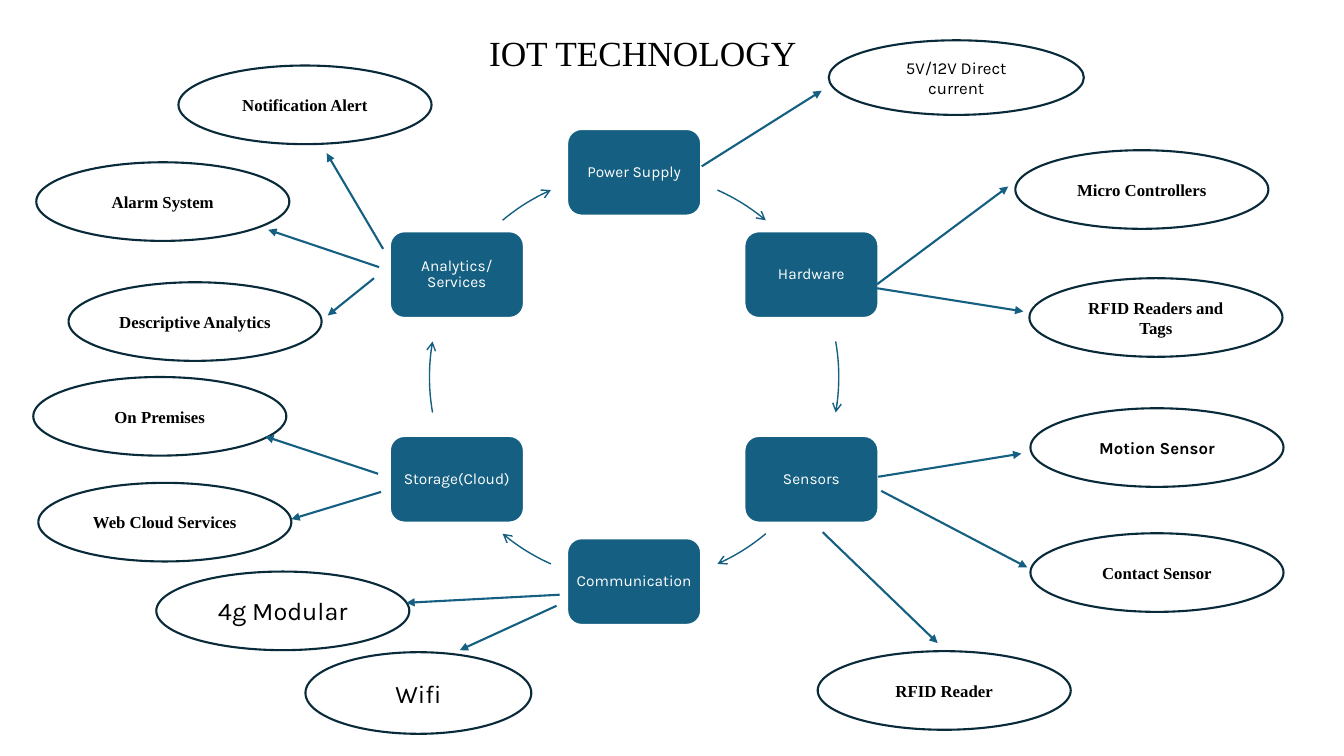
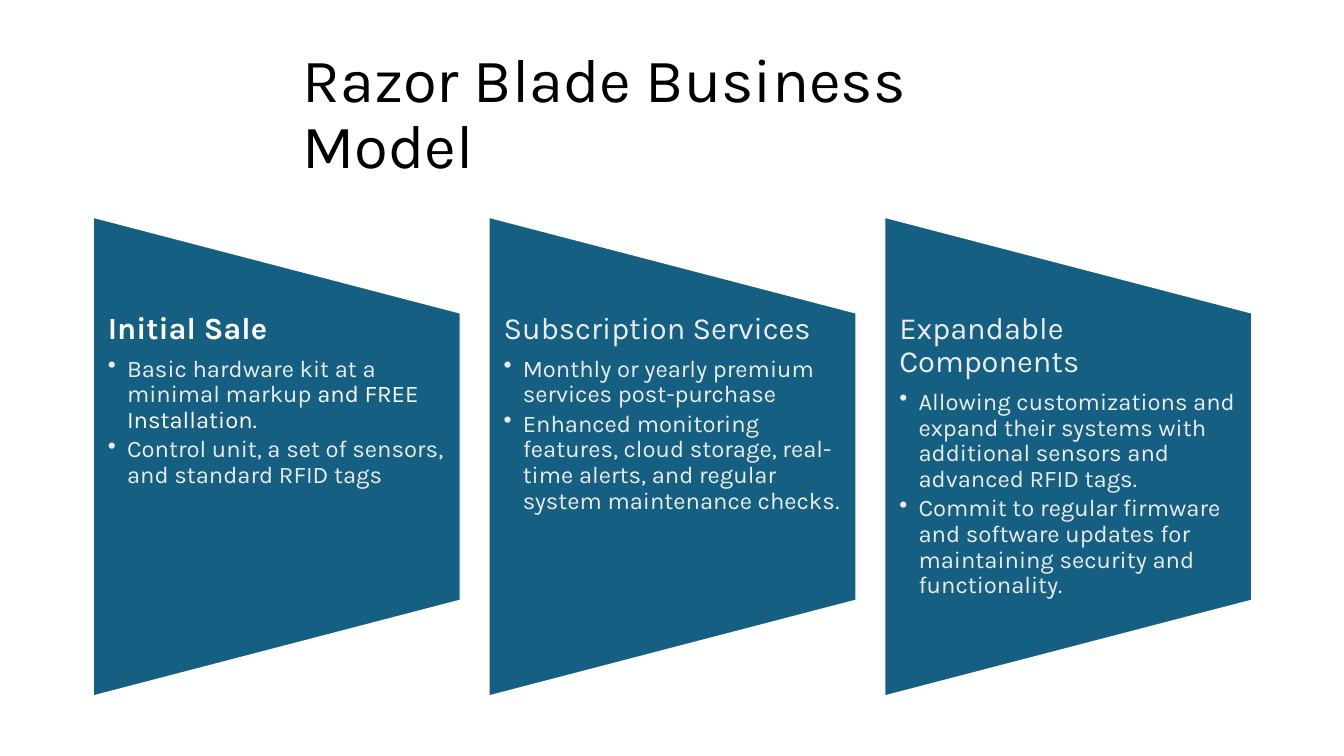
from math import cos, radians, sin

from lxml import etree
from pptx import Presentation
from pptx.dml.color import RGBColor
from pptx.enum.shapes import MSO_CONNECTOR, MSO_SHAPE
from pptx.enum.text import MSO_ANCHOR, MSO_AUTO_SIZE, PP_ALIGN
from pptx.oxml.ns import qn
from pptx.util import Inches, Pt

ROUNDED = MSO_SHAPE.ROUNDED_RECTANGLE
OVAL = MSO_SHAPE.OVAL
PANEL = MSO_SHAPE.FLOWCHART_MANUAL_OPERATION
STRAIGHT = MSO_CONNECTOR.STRAIGHT
CENTER, LEFT = PP_ALIGN.CENTER, PP_ALIGN.LEFT
MIDDLE, TOP = MSO_ANCHOR.MIDDLE, MSO_ANCHOR.TOP

COLORS = {
    "blue": "156082",
    "navy": "092A39",
    "white": "FFFFFF",
    "pale": "ECECEC",
    "black": "000000",
}
SANS, SERIF = "Karla", "Times New Roman"

STAGES = ["Power Supply", "Hardware", "Sensors", "Communication", "Storage(Cloud)", "Analytics/Services"]
RING_CENTER, RING_RADIUS = (6.29, 3.74), 2.03
STAGE_SIZE = (1.33, 0.86)
ARCS = [(24, 40), (80, 100), (140, 156), (204, 220), (260, 280), (320, 336)]
ARC_STEPS = 12

DETAIL_SIZE = (2.51, 0.78)
SERIF_BOLD = (SERIF, 12, True)
SANS_BOLD = (SANS, 12, True)
SANS_SMALL = (SANS, 12, False)
SANS_LARGE = (SANS, 18, False)
DETAILS = [
    ("5V/12V Direct current", (8.22, 0.4), (2.53, 0.74), SANS_SMALL, (6.96, 1.65), (8.15, 0.9)),
    ("Micro Controllers", (10.07, 1.49), DETAIL_SIZE, SERIF_BOLD, (8.7, 2.82), (10, 1.85)),
    ("RFID Readers and Tags", (10.21, 2.76), DETAIL_SIZE, SERIF_BOLD, (8.7, 2.86), (10.15, 3.09)),
    ("Motion Sensor", (10.22, 4.05), DETAIL_SIZE, SANS_BOLD, (8.71, 4.73), (10.13, 4.5)),
    ("Contact Sensor", (10.22, 5.29), DETAIL_SIZE, SERIF_BOLD, (8.74, 4.87), (10.19, 5.63)),
    ("RFID Reader", (8.11, 6.46), DETAIL_SIZE, SERIF_BOLD, (8.16, 5.28), (9.3, 6.38)),
    ("Wifi", (3.03, 6.47), (2.24, 0.81), SANS_LARGE, (5.52, 6.01), (4.56, 6.45)),
    ("4g Modular", (1.55, 5.67), DETAIL_SIZE, SANS_LARGE, (5.55, 5.9), (4.03, 5.98)),
    ("Web Cloud Services", (0.38, 4.79), DETAIL_SIZE, SERIF_BOLD, (3.78, 4.88), (2.89, 5.15)),
    ("On Premises", (0.33, 3.74), DETAIL_SIZE, SERIF_BOLD, (3.75, 4.7), (2.63, 4.33)),
    ("Descriptive Analytics", (0.68, 2.8), DETAIL_SIZE, SERIF_BOLD, (3.71, 2.76), (3.25, 3.13)),
    ("Alarm System", (0.36, 1.61), DETAIL_SIZE, SERIF_BOLD, (3.76, 2.65), (2.66, 2.28)),
    ("Notification Alert", (1.77, 0.65), DETAIL_SIZE, SERIF_BOLD, (3.8, 2.47), (3.24, 1.52)),
]

OFFERS = [
    ("Initial Sale", True, "white", [
        [("Basic hardware kit at a minimal markup", "pale"), (" and FREE Installation.", "white")],
        [("Control unit, a set of sensors, and standard RFID tags", "pale")],
    ]),
    ("Subscription Services", False, "pale", [
        [("Monthly or yearly premium services post-purchase", "pale")],
        [("Enhanced monitoring features, cloud storage, real-time alerts, "
          "and regular system maintenance checks", "pale"), (".", "white")],
    ]),
    ("Expandable Components", False, "pale", [
        [("Allowing customizations and expand their systems with additional sensors "
          "and advanced RFID tags.", "pale")],
        [("Commit to regular firmware and software updates for maintaining security "
          "and functionality.", "pale")],
    ]),
]
OFFER_LEFT, OFFER_PITCH, OFFER_WIDTH = 0.92, 3.925, 3.65
PANEL_LENGTH, PANEL_MIDDLE = 4.76, 4.53
OFFER_TEXT_HEIGHT = 2.86
BULLET_INDENT = 0.19


def rgb(name):
    return RGBColor.from_string(COLORS[name])


def box(left, top, width, height):
    return [Inches(value) for value in (left, top, width, height)]


def format_run(run, font, size, color, bold=False):
    run.font.name = font
    run.font.size = Pt(size)
    run.font.bold = bold
    run.font.color.rgb = rgb(color)


def set_margins(frame, horizontal, vertical):
    frame.margin_left = frame.margin_right = Inches(horizontal)
    frame.margin_top = frame.margin_bottom = Inches(vertical)


def add_title_slide(presentation, text, place, font, size):
    slide = presentation.slides.add_slide(presentation.slide_layouts[5])
    title = slide.shapes.title
    title.left, title.top, title.width, title.height = box(*place)
    frame = title.text_frame
    frame.text = text
    frame.word_wrap = True
    frame.auto_size = MSO_AUTO_SIZE.NONE
    frame.vertical_anchor = MIDDLE
    paragraph = frame.paragraphs[0]
    paragraph.alignment = LEFT
    paragraph.line_spacing = 0.9
    format_run(paragraph.runs[0], font, size, "black")
    return slide


def add_filled_shape(slide, kind, place, fill, line):
    shape = slide.shapes.add_shape(kind, *box(*place))
    shape.shadow.inherit = False
    shape.fill.solid()
    shape.fill.fore_color.rgb = rgb(fill)
    shape.line.color.rgb = rgb(line)
    shape.line.width = Pt(1.5)
    return shape


def add_label(shape, text, font, size, color, bold=False):
    frame = shape.text_frame
    frame.word_wrap = True
    frame.vertical_anchor = MIDDLE
    frame.text = text
    paragraph = frame.paragraphs[0]
    paragraph.alignment = CENTER
    format_run(paragraph.runs[0], font, size, color, bold)
    return paragraph


def style_arrow(shape, width, head):
    shape.line.color.rgb = rgb("blue")
    shape.line.width = Pt(width)
    line = shape.element.spPr.find(qn("a:ln"))
    etree.SubElement(line, qn("a:tailEnd"), type=head)


def ring_point(degrees):
    angle = radians(degrees)
    return (RING_CENTER[0] + RING_RADIUS * sin(angle), RING_CENTER[1] - RING_RADIUS * cos(angle))


def add_stage(slide, text, degrees):
    width, height = STAGE_SIZE
    x, y = ring_point(degrees)
    shape = add_filled_shape(slide, ROUNDED, (x - width / 2, y - height / 2, width, height), "blue", "white")
    set_margins(shape.text_frame, 0.05, 0.05)
    add_label(shape, text, SANS, 11, "white").line_spacing = 0.9


def add_ring_arrow(slide, start, end):
    angles = [start + (end - start) * step / ARC_STEPS for step in range(ARC_STEPS + 1)]
    points = [(Inches(x), Inches(y)) for x, y in map(ring_point, angles)]
    builder = slide.shapes.build_freeform(*points[0])
    builder.add_line_segments(points[1:], close=False)
    arrow = builder.convert_to_shape()
    arrow.shadow.inherit = False
    arrow.fill.background()
    style_arrow(arrow, 1, "arrow")


def add_detail_arrow(slide, start, end):
    arrow = slide.shapes.add_connector(STRAIGHT, *box(*start, *end))
    style_arrow(arrow, 1.5, "triangle")
    etree.SubElement(arrow.element.spPr, qn("a:effectLst"))


def build_technology_slide(presentation):
    slide = add_title_slide(presentation, "IOT TECHNOLOGY", (4.75, 0.3, 3.83, 0.5), SERIF, 25.2)
    for index, (stage, arc) in enumerate(zip(STAGES, ARCS)):
        add_stage(slide, stage, index * 360 / len(STAGES))
        add_ring_arrow(slide, *arc)
    for text, position, size, (font, points, bold), start, end in DETAILS:
        ellipse = add_filled_shape(slide, OVAL, (*position, *size), "white", "navy")
        add_label(ellipse, text, font, points, "black", bold)
        add_detail_arrow(slide, start, end)


def add_bullet(frame, parts):
    paragraph = frame.add_paragraph()
    paragraph.line_spacing = 0.9
    paragraph.space_after = Pt(2.55)
    for text, color in parts:
        run = paragraph.add_run()
        run.text = text
        format_run(run, SANS, 17, color)
    properties = paragraph.runs[0].font and paragraph._p.get_or_add_pPr()
    properties.set("marL", str(Inches(BULLET_INDENT)))
    properties.set("indent", str(-Inches(BULLET_INDENT)))
    etree.SubElement(properties, qn("a:buChar"), char="•")


def add_offer(slide, index, heading, bold, color, bullets):
    left = OFFER_LEFT + index * OFFER_PITCH
    panel_place = (left + (OFFER_WIDTH - PANEL_LENGTH) / 2, PANEL_MIDDLE - OFFER_WIDTH / 2,
                   PANEL_LENGTH, OFFER_WIDTH)
    panel = add_filled_shape(slide, PANEL, panel_place, "blue", "white")
    panel.rotation = 270
    text_top = PANEL_MIDDLE - OFFER_TEXT_HEIGHT / 2
    text_box = slide.shapes.add_textbox(*box(left, text_top, OFFER_WIDTH, OFFER_TEXT_HEIGHT))
    frame = text_box.text_frame
    frame.word_wrap = True
    frame.vertical_anchor = TOP
    set_margins(frame, 0.15, 0)
    frame.text = heading
    paragraph = frame.paragraphs[0]
    paragraph.line_spacing = 0.9
    paragraph.space_after = Pt(7.7)
    format_run(paragraph.runs[0], SANS, 22, color, bold)
    for parts in bullets:
        add_bullet(frame, parts)


def build_business_slide(presentation):
    slide = add_title_slide(presentation, "Razor Blade Business Model", (2.9, 0.42, 7.54, 1.45), SANS, 44)
    for index, offer in enumerate(OFFERS):
        add_offer(slide, index, *offer)


def main():
    presentation = Presentation()
    presentation.slide_width = Inches(13.33)
    presentation.slide_height = Inches(7.5)
    build_technology_slide(presentation)
    build_business_slide(presentation)
    presentation.save("out.pptx")


if __name__ == "__main__":
    main()
